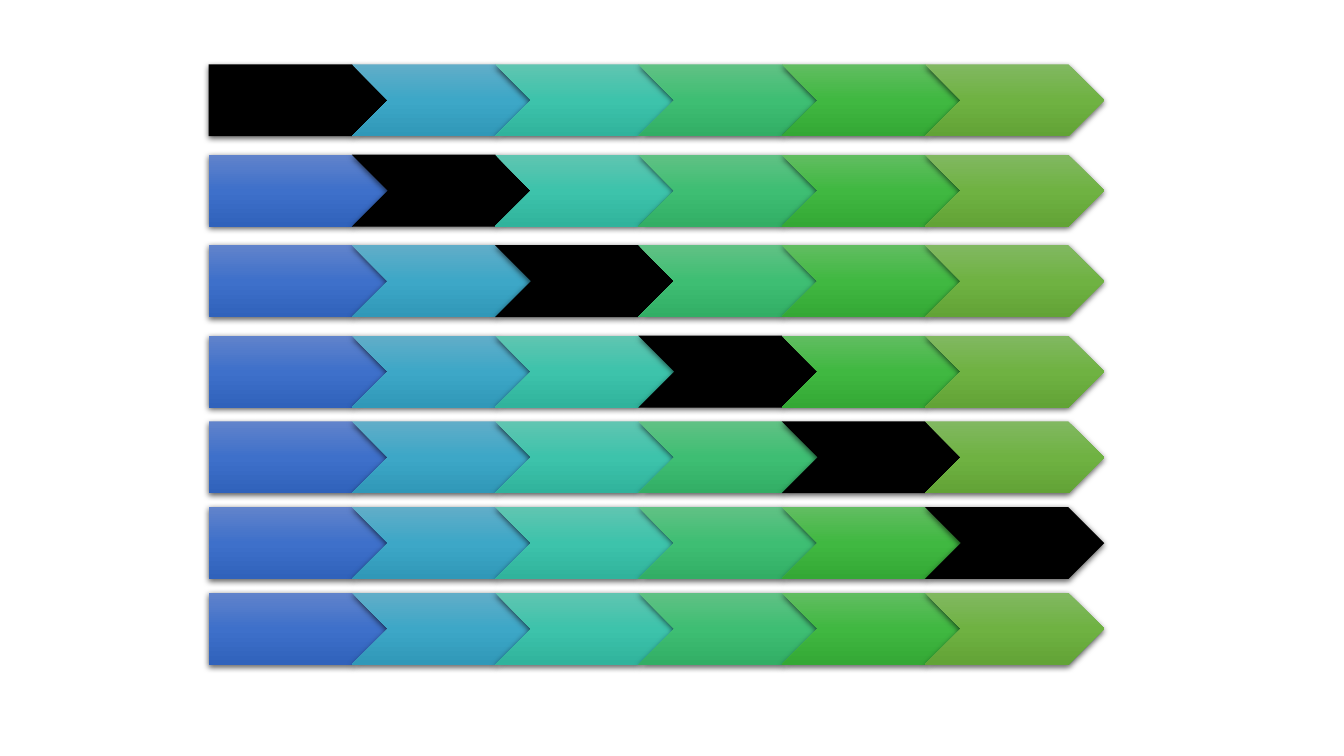
from copy import deepcopy
from dataclasses import dataclass

from lxml import etree
from pptx import Presentation
from pptx import util as u
from pptx.dml import color
from pptx.enum import shapes
from pptx.oxml import ns

COLORS = {
    "highlight": "000000",
    "shadow": "000000",
    "blue": ("6183CB", "3E70CA", "3062BB"),
    "cyan": ("61ADC8", "3DA7C7", "3098B8"),
    "teal": ("60C5B1", "3DC3AB", "30B39C"),
    "mint": ("60C184", "3EBE73", "32AE65"),
    "green": ("61BD61", "40B841", "34A835"),
    "olive": ("81B861", "6FB242", "62A336"),
}

# Layout in centimetres
LEFT, STEP_PITCH = 5.26, 3.61
STEP_WIDTH, STEP_HEIGHT = 4.52, 1.81
FIRST_TOP, UPPER_PITCH, LOWER_PITCH = 1.62, 2.28, 2.16
UPPER_GAPS = 3  # the first gaps between rows are wider than the rest


@dataclass(frozen=True)
class Step:
    hue: str
    outline: shapes.MSO_SHAPE = shapes.MSO_SHAPE.CHEVRON


STEPS = [
    Step("blue", shapes.MSO_SHAPE.PENTAGON),
    *(Step(hue) for hue in ("cyan", "teal", "mint", "green", "olive")),
]


def row_top(row: int) -> float:
    upper = min(row, UPPER_GAPS)
    return FIRST_TOP + upper * UPPER_PITCH + (row - upper) * LOWER_PITCH


def fill_gradient(arrow, hexes: tuple[str, ...]) -> None:
    """Fill from top to bottom with three evenly spaced colours."""
    arrow.fill.gradient()
    arrow.fill.gradient_angle = 270
    stop_list = arrow._element.spPr.find(".//" + ns.qn("a:gsLst"))
    stop_list.insert(1, deepcopy(stop_list[0]))
    for index, (stop, value) in enumerate(zip(arrow.fill.gradient_stops, hexes)):
        stop.position = index / 2
        stop.color.rgb = color.RGBColor.from_string(value)


def add_shadow(arrow) -> None:
    """Cast a soft shadow straight down."""
    arrow.shadow.inherit = False
    effects = arrow._element.spPr.find(ns.qn("a:effectLst"))
    outer = etree.SubElement(
        effects, ns.qn("a:outerShdw"), blurRad=str(u.Pt(4.5)),
        dist=str(u.Pt(1.5)), dir="5400000", algn="ctr", rotWithShape="0")
    tint = etree.SubElement(outer, ns.qn("a:srgbClr"), val=COLORS["shadow"])
    etree.SubElement(tint, ns.qn("a:alpha"), val="63000")


def draw_step(row_group, step: Step, column: int, top: float, active: bool) -> None:
    arrow = row_group.shapes.add_shape(
        step.outline, u.Cm(LEFT + column * STEP_PITCH), u.Cm(top),
        u.Cm(STEP_WIDTH), u.Cm(STEP_HEIGHT))
    if active:
        arrow.fill.solid()
        arrow.fill.fore_color.rgb = color.RGBColor.from_string(COLORS["highlight"])
    else:
        fill_gradient(arrow, COLORS[step.hue])
    arrow.line.fill.background()
    add_shadow(arrow)


def main() -> None:
    deck = Presentation()
    deck.slide_width, deck.slide_height = u.Cm(33.87), u.Cm(19.05)
    slide = deck.slides.add_slide(deck.slide_layouts[6])

    # One row per highlighted step, then a last row with none highlighted
    for row in range(len(STEPS) + 1):
        row_group = slide.shapes.add_group_shape()
        for column, step in enumerate(STEPS):
            draw_step(row_group, step, column, row_top(row), active=column == row)

    deck.save("out.pptx")


if __name__ == "__main__":
    main()
